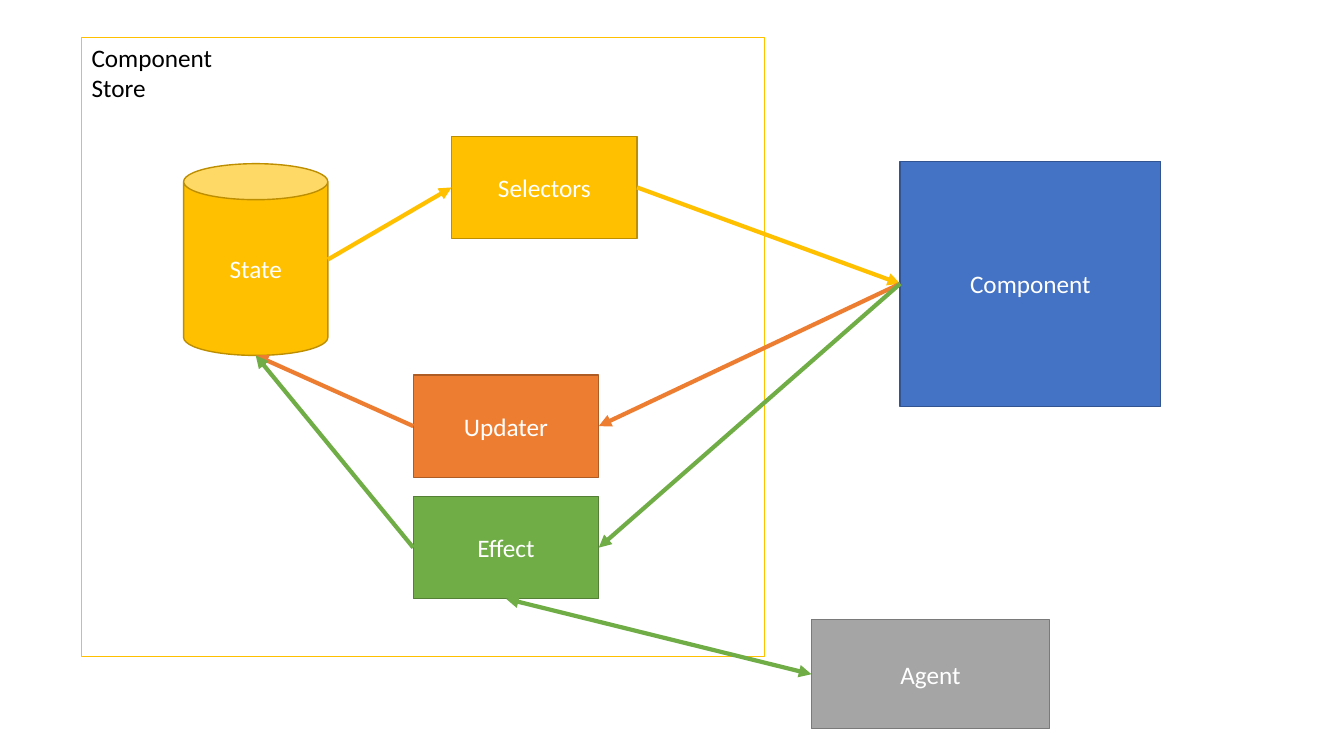
from dataclasses import dataclass
from enum import Enum

from lxml.etree import SubElement
from pptx import Presentation
from pptx.dml.color import RGBColor
from pptx.enum.shapes import MSO_CONNECTOR, MSO_SHAPE
from pptx.enum.text import MSO_ANCHOR, PP_ALIGN
from pptx.oxml.ns import qn
from pptx.shapes.autoshape import Shape
from pptx.shapes.connector import Connector
from pptx.slide import Slide
from pptx.util import Pt

WHITE, BLACK = "FFFFFF", "000000"
GOLD, ORANGE, GREEN, BLUE, GRAY = "FFC000", "ED7D31", "70AD47", "4472C4", "A5A5A5"
DARK_GOLD = "BD8E00"
STEP_SIZE = (132.5, 73)


class Side(Enum):
    """Position as fractions of width and height, then the site index on a rectangle and on a can."""
    LEFT = (0, 0.5, 1, 2)
    BOTTOM = (0.5, 1, 2, 3)
    RIGHT = (1, 0.5, 3, 4)


@dataclass(frozen=True)
class Box:
    lines: tuple[str, ...]
    left: float
    top: float
    width: float
    height: float
    fill: str
    border: str
    preset: MSO_SHAPE = MSO_SHAPE.RECTANGLE
    text_color: str = WHITE
    anchor: MSO_ANCHOR = MSO_ANCHOR.MIDDLE
    align: PP_ALIGN = PP_ALIGN.CENTER


@dataclass(frozen=True)
class Arrow:
    start: str
    start_side: Side
    end: str
    end_side: Side
    color: str
    two_way: bool = False


BOXES = {
    "component": Box(("Component",), 643, 115.2, 186, 175, BLUE, "325491"),
    "store": Box(("Component", "Store"), 58.3, 26.8, 487.7, 442, WHITE, GOLD,
                 text_color=BLACK, anchor=MSO_ANCHOR.TOP, align=PP_ALIGN.LEFT),
    "state": Box(("State",), 131.2, 116.9, 103, 137, GOLD, DARK_GOLD, MSO_SHAPE.CAN),
    "selectors": Box(("Selectors",), 322.6, 97.4, *STEP_SIZE, GOLD, DARK_GOLD),
    "updater": Box(("Updater",), 295.2, 267.9, *STEP_SIZE, ORANGE, "AF5C24"),
    "effect": Box(("Effect",), 295.2, 354.7, *STEP_SIZE, GREEN, "538035"),
    "agent": Box(("Agent",), 579.6, 442.6, 170, 78, GRAY, "7A7A7A"),
}

ARROWS = [
    Arrow("state", Side.RIGHT, "selectors", Side.LEFT, GOLD),
    Arrow("selectors", Side.RIGHT, "component", Side.LEFT, GOLD),
    Arrow("component", Side.LEFT, "updater", Side.RIGHT, ORANGE),
    Arrow("updater", Side.LEFT, "state", Side.BOTTOM, ORANGE),
    Arrow("component", Side.LEFT, "effect", Side.RIGHT, GREEN),
    Arrow("effect", Side.BOTTOM, "agent", Side.LEFT, GREEN, two_way=True),
    Arrow("effect", Side.LEFT, "state", Side.BOTTOM, GREEN),
]


def color(value: str) -> RGBColor:
    return RGBColor.from_string(value)


def draw_box(page: Slide, box: Box) -> Shape:
    shape = page.shapes.add_shape(
        box.preset, Pt(box.left), Pt(box.top), Pt(box.width), Pt(box.height))
    shape.shadow.inherit = False
    shape.fill.solid()
    shape.fill.fore_color.rgb = color(box.fill)
    shape.line.color.rgb = color(box.border)
    shape.line.width = Pt(1)
    frame = shape.text_frame
    frame.word_wrap = True
    frame.vertical_anchor = box.anchor
    para = frame.paragraphs[0]
    para.alignment = box.align
    for index, line in enumerate(box.lines):
        if index:
            para.add_line_break()
        span = para.add_run()
        span.text = line
        span.font.name = "Calibri"
        span.font.size = Pt(18)
        span.font.color.rgb = color(box.text_color)
    return shape


def side_point(box: Box, side: Side) -> tuple[int, int]:
    across, down, *_ = side.value
    return Pt(box.left + across * box.width), Pt(box.top + down * box.height)


def site_index(box: Box, side: Side) -> int:
    return side.value[3 if box.preset == MSO_SHAPE.CAN else 2]


def draw_arrow(page: Slide, arrow: Arrow, shapes: dict[str, Shape]) -> Connector:
    start, end = BOXES[arrow.start], BOXES[arrow.end]
    connector = page.shapes.add_connector(MSO_CONNECTOR.STRAIGHT, 0, 0, 0, 0)
    # A can has other site numbers than a rectangle, so sites and ends are set after connecting.
    connector.begin_connect(shapes[arrow.start], 0)
    connector.end_connect(shapes[arrow.end], 0)
    for tag, box, side in (("a:stCxn", start, arrow.start_side),
                           ("a:endCxn", end, arrow.end_side)):
        link = next(connector.element.iter(qn(tag)))
        link.set("idx", str(site_index(box, side)))
    connector.begin_x, connector.begin_y = side_point(start, arrow.start_side)
    connector.end_x, connector.end_y = side_point(end, arrow.end_side)

    connector.line.color.rgb = color(arrow.color)
    connector.line.width = Pt(3)
    properties = connector.element.spPr
    outline = properties.find(qn("a:ln"))
    for tag in ("a:headEnd", "a:tailEnd") if arrow.two_way else ("a:tailEnd",):
        SubElement(outline, qn(tag), type="triangle")
    SubElement(properties, qn("a:effectLst"))
    return connector


def main() -> None:
    deck = Presentation()
    deck.slide_width, deck.slide_height = Pt(960), Pt(540)
    page = deck.slides.add_slide(deck.slide_layouts[6])
    shapes = {name: draw_box(page, box) for name, box in BOXES.items()}
    for arrow in ARROWS:
        draw_arrow(page, arrow, shapes)
    deck.save("out.pptx")


if __name__ == "__main__":
    main()
